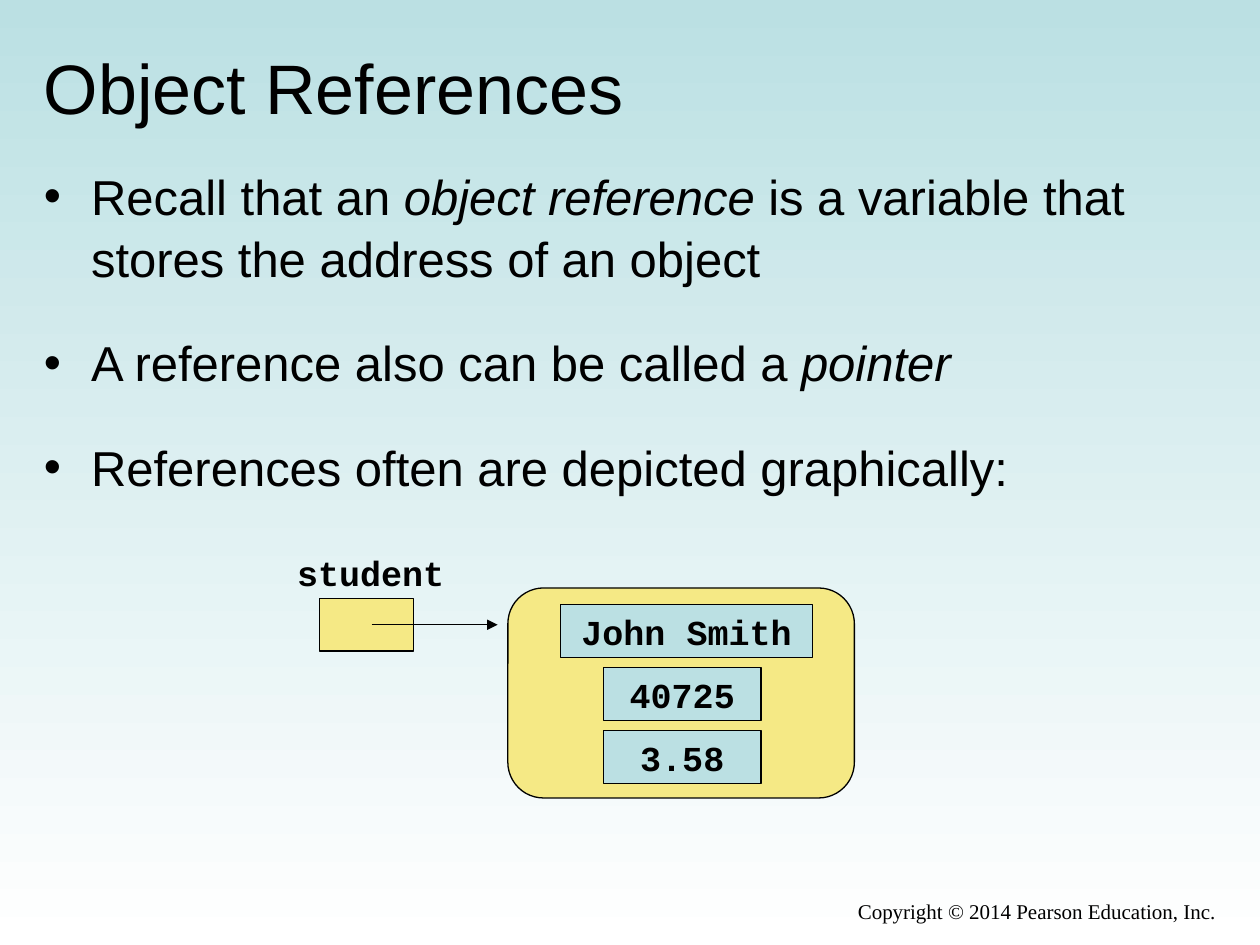
from lxml.etree import SubElement
from pptx import Presentation
from pptx.dml.color import RGBColor
from pptx.enum.shapes import MSO_CONNECTOR, MSO_SHAPE
from pptx.enum.text import MSO_ANCHOR, PP_ALIGN
from pptx.oxml.ns import qn
from pptx.util import Pt

BLACK, YELLOW, BLUE, WHITE = "000000", "F5E985", "BBE0E3", "FFFFFF"
TITLE = [[("Object References", False)]]
BULLETS = [
    [("Recall that an ", False), ("object reference", True),
     (" is a variable that stores the address of an object", False)],
    [("A reference also can be called a ", False), ("pointer", True)],
    [("References often are depicted graphically:", False)],
]
COPYRIGHT = [[("Copyright © 2014 Pearson Education, Inc.", False)]]
VARIABLE = [[("student", False)]]
FIELDS = [("John Smith", 320.4, 144), ("40725", 344.9, 90), ("3.58", 344.9, 90)]
FIELD_TOP, FIELD_PITCH, FIELD_HEIGHT = 345.6, 36, 30


def color(value):
    return RGBColor.from_string(value)


def write(box, paragraphs, font, size, bold=False, align=PP_ALIGN.LEFT,
          anchor=MSO_ANCHOR.TOP, wrap=True, bullets=False):
    frame = box.text_frame
    frame.word_wrap = wrap
    frame.vertical_anchor = anchor
    for index, spans in enumerate(paragraphs):
        para = frame.add_paragraph() if index else frame.paragraphs[0]
        para.alignment = align
        if bullets:
            properties = para._p.get_or_add_pPr()
            properties.set("marL", str(Pt(27)))
            properties.set("indent", str(Pt(-27)))
            SubElement(properties, qn("a:buFont"), typeface="Arial")
            SubElement(properties, qn("a:buChar"), char="•")
            para.line_spacing = 1.05
            if index:
                para.space_before = Pt(24.5)
        for text, italic in spans:
            span = para.add_run()
            span.text = text
            span.font.name = font
            span.font.size = Pt(size)
            span.font.bold = bold
            span.font.italic = italic
            span.font.color.rgb = color(BLACK)


def add_text(page, left, top, width, height, *content, **options):
    box = page.shapes.add_textbox(Pt(left), Pt(top), Pt(width), Pt(height))
    write(box, *content, **options)


def add_box(page, kind, left, top, width, height, fill):
    box = page.shapes.add_shape(kind, Pt(left), Pt(top), Pt(width), Pt(height))
    box.shadow.inherit = False
    box.fill.solid()
    box.fill.fore_color.rgb = color(fill)
    box.line.color.rgb = color(BLACK)
    box.line.width = Pt(0.75)
    return box


def add_arrow(page, left, right, height):
    arrow = page.shapes.add_connector(
        MSO_CONNECTOR.STRAIGHT, Pt(left), Pt(height), Pt(right), Pt(height))
    arrow.line.color.rgb = color(BLACK)
    arrow.line.width = Pt(0.75)
    SubElement(arrow.line._get_or_add_ln(), qn("a:tailEnd"), type="triangle")
    SubElement(arrow._element.spPr, qn("a:effectLst"))


def main():
    deck = Presentation()
    deck.slide_width, deck.slide_height = Pt(720), Pt(540)
    page = deck.slides.add_slide(deck.slide_layouts[6])
    background = page.background.fill
    background.gradient()
    background.gradient_angle = 270
    for stop, value in zip(background.gradient_stops, (BLUE, WHITE)):
        stop.color.rgb = color(value)

    add_text(page, 18, 21.6, 684, 56.2, TITLE, "Arial", 40,
             anchor=MSO_ANCHOR.MIDDLE)
    add_text(page, 18, 90, 684, 222, BULLETS, "Arial", 28, bullets=True)
    add_text(page, 264, 509.8, 438, 24.5, COPYRIGHT, "Times New Roman", 12,
             align=PP_ALIGN.RIGHT)

    add_box(page, MSO_SHAPE.RECTANGLE, 182.4, 342, 54, 30, YELLOW)
    add_text(page, 162.7, 311.8, 98.6, 31.5, VARIABLE, "Courier New", 20,
             bold=True, wrap=False)
    student = add_box(page, MSO_SHAPE.ROUNDED_RECTANGLE, 290.2, 336, 198, 120, YELLOW)
    student.adjustments[0] = 0.17
    add_arrow(page, 212.4, 284.4, 357)
    for row, (value, left, width) in enumerate(FIELDS):
        field = add_box(page, MSO_SHAPE.RECTANGLE, left,
                        FIELD_TOP + row * FIELD_PITCH, width, FIELD_HEIGHT, BLUE)
        write(field, [[(value, False)]], "Courier New", 20, bold=True,
              align=PP_ALIGN.CENTER, anchor=MSO_ANCHOR.MIDDLE, wrap=False)
    deck.save("out.pptx")


if __name__ == "__main__":
    main()
